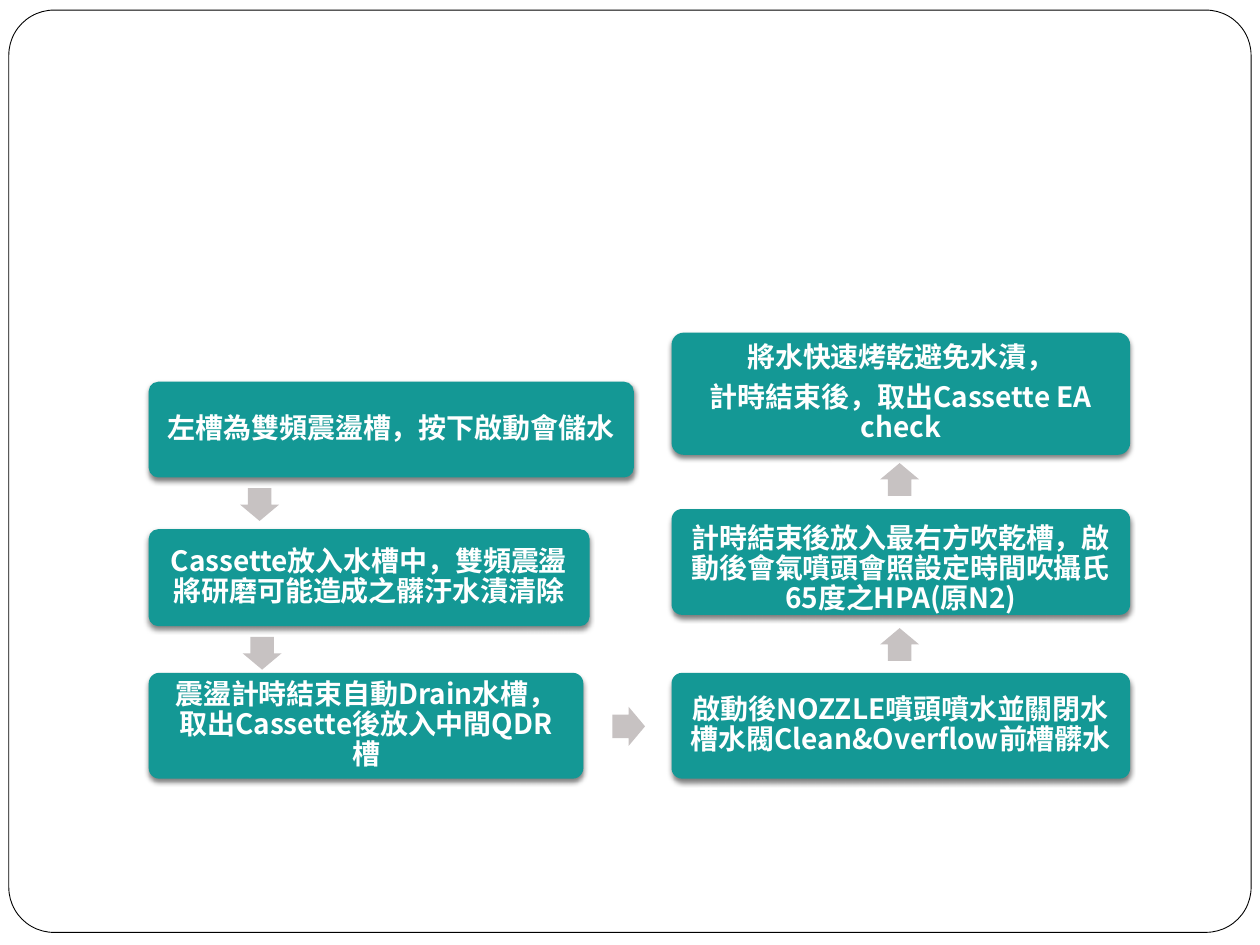
from pptx import Presentation
from pptx.dml.color import RGBColor
from pptx.enum.shapes import MSO_SHAPE as Shape
from pptx.enum.text import MSO_ANCHOR as Anchor, PP_ALIGN as Align
from pptx.oxml import parse_xml
from pptx.oxml.ns import nsdecls, qn
from pptx.util import Inches, Pt
from lxml.etree import SubElement

FONT = "Noto Sans CJK SC"
COLS, ROWS = 100, 75
SHADOW = (f'<a:outerShdw {nsdecls("a")} blurRad="{Pt(3)}" dist="{Pt(2)}" dir="5400000" rotWithShape="0">'
          '<a:srgbClr val="000000"><a:alpha val="50000"/></a:srgbClr></a:outerShdw>')


def rgb(value):
    return RGBColor.from_string(value)


def write(p, text, size=16, color="FFFFFF", bold=True, after=0.35):
    p.alignment = Align.CENTER
    p.line_spacing = 0.9
    p.space_after = Pt(size * after)
    r = p.add_run()
    r.text = text
    r.font.size, r.font.bold, r.font.name = Pt(size), bold, FONT
    r.font.color.rgb = rgb(color)
    SubElement(r.font._element, qn("a:ea"), typeface=FONT)


class FlowSlide:
    teal, gray, white, black = "149895", "C7C2C2", "FFFFFF", "000000"

    def __init__(self, prs):
        self.cell_w = prs.slide_width / COLS
        self.cell_h = prs.slide_height / ROWS
        self.s = prs.slides.add_slide(prs.slide_layouts[6])

    def shape(self, kind, col, row, cols, rows, fill, adjust):
        sp = self.s.shapes.add_shape(
            kind, int(col * self.cell_w), int(row * self.cell_h),
            int(cols * self.cell_w), int(rows * self.cell_h))
        sp.shadow.inherit = False
        sp.fill.solid()
        sp.fill.fore_color.rgb = rgb(fill)
        sp.line.fill.background()
        for i, value in enumerate(adjust):
            sp.adjustments[i] = value
        return sp

    def frame(self):
        sp = self.shape(Shape.ROUNDED_RECTANGLE, 0.7, 0.8, 98.6, 73.2, self.white, [0.049])
        sp.line.color.rgb = rgb(self.black)
        sp.line.width = Pt(0.5)

    def step(self, col, row, cols, rows, *lines, drop=0):
        sp = self.shape(Shape.ROUNDED_RECTANGLE, col, row, cols, rows, self.teal, [0.1])
        sp._element.spPr.find(qn("a:effectLst")).append(parse_xml(SHADOW))
        tf = sp.text_frame
        tf.word_wrap, tf.vertical_anchor = True, Anchor.MIDDLE
        tf.margin_left = tf.margin_right = Inches(0.12)
        tf.margin_top, tf.margin_bottom = Inches(0.09 + drop), Inches(0.09 - drop)
        for i, line in enumerate(lines):
            write(tf.add_paragraph() if i else tf.paragraphs[0], line)

    def arrow(self, col, row, turn=0):
        sp = self.shape(Shape.RIGHT_ARROW, col, row, 2.6, 3.1, self.gray, [0.6, 0.5])
        sp.rotation = turn


def main():
    prs = Presentation()
    prs.slide_width, prs.slide_height = Inches(10), Inches(7.5)
    flow = FlowSlide(prs)
    left, right, right_cols = 11.8, 53.3, 36.4
    bottom, tall = 53.4, 8.4
    down, up = 90, 270

    flow.frame()
    flow.step(left, 30.3, 38.5, 7.6, "左槽為雙頻震盪槽，按下啟動會儲水")
    flow.arrow(19.3, 38.5, down)
    flow.step(left, 42, 35, 7.7, "Cassette放入水槽中，雙頻震盪將研磨可能造成之髒汙水漬清除")
    flow.arrow(19.5, 50.3, down)
    flow.step(left, bottom, 34.5, tall, "震盪計時結束自動Drain水槽，取出Cassette後放入中間QDR槽")
    flow.arrow(48.6, 56.1)
    flow.step(right, bottom, right_cols, tall, "啟動後NOZZLE噴頭噴水並關閉水槽水閥Clean&Overflow前槽髒水")
    flow.arrow(70.1, 49.6, up)
    flow.step(right, 40.4, right_cols, tall,
              "計時結束後放入最右方吹乾槽，啟動後會氣噴頭會照設定時間吹攝氏65度之HPA(原N2)", drop=0.06)
    flow.arrow(70.1, 36.5, up)
    flow.step(right, 26.4, right_cols, 9.7, "將水快速烤乾避免水漬，", "計時結束後，取出Cassette EA check")
    prs.save("out.pptx")


if __name__ == "__main__":
    main()
